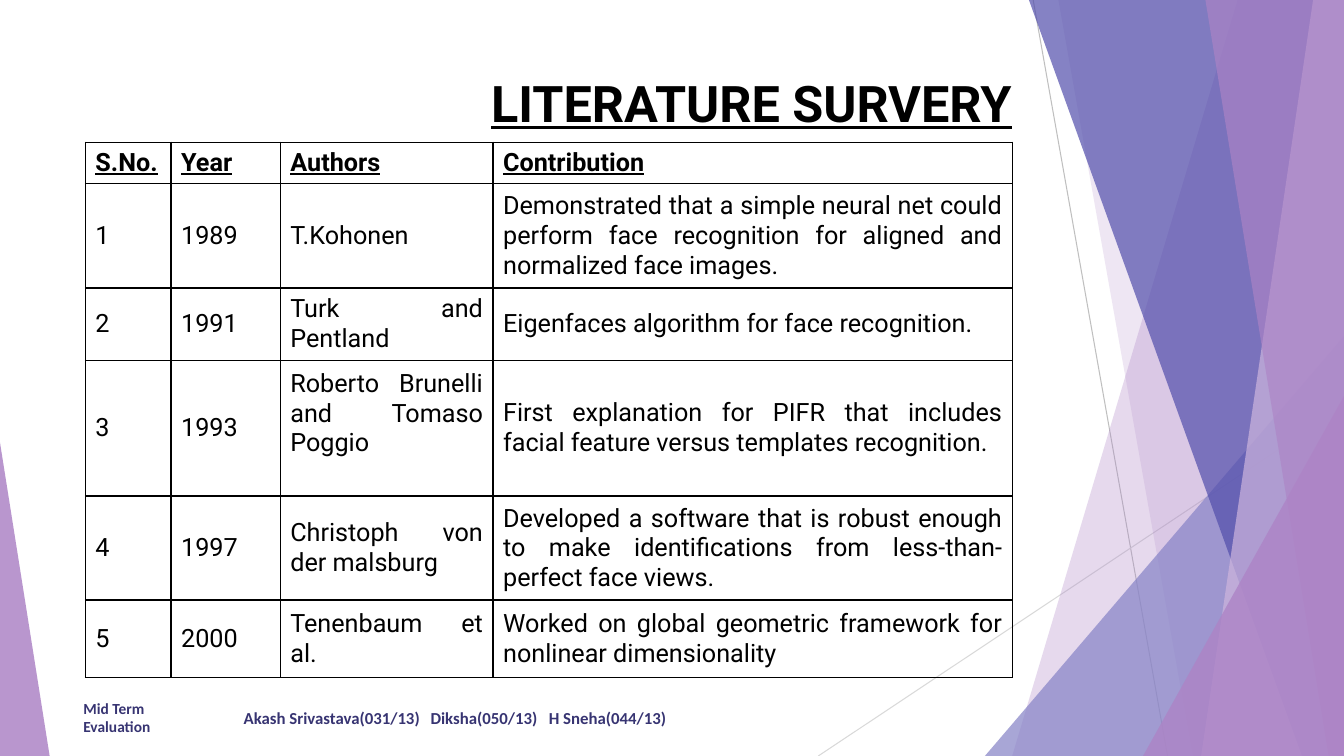
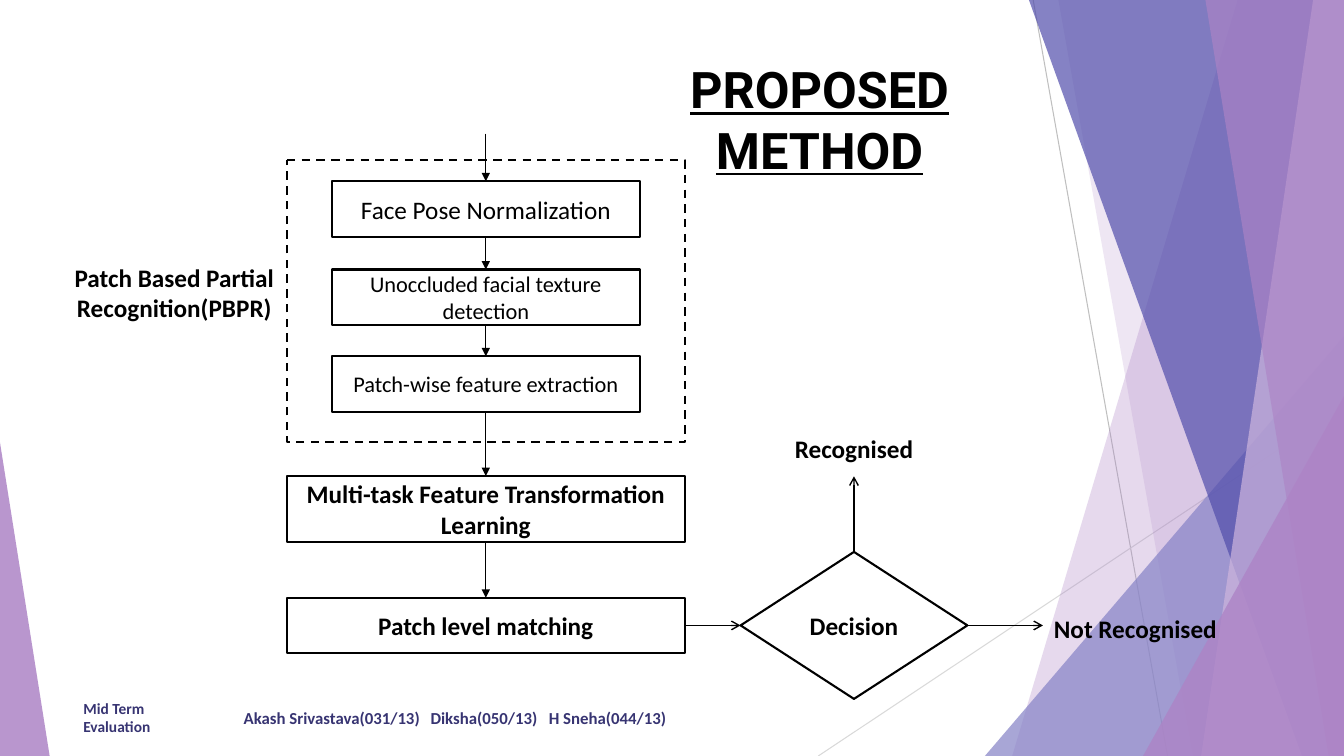
from lxml import etree
from pptx import Presentation
from pptx.dml.color import RGBColor
from pptx.enum.dml import MSO_LINE
from pptx.enum.shapes import MSO_CONNECTOR, MSO_SHAPE
from pptx.enum.text import MSO_ANCHOR, MSO_AUTO_SIZE, PP_ALIGN
from pptx.oxml.ns import qn
from pptx.util import Pt

LEFT, RIGHT = PP_ALIGN.LEFT, PP_ALIGN.RIGHT
MID, EVEN = PP_ALIGN.CENTER, PP_ALIGN.JUSTIFY
TOP, HALF = MSO_ANCHOR.TOP, MSO_ANCHOR.MIDDLE
STEP, GEM = MSO_SHAPE.FLOWCHART_PROCESS, MSO_SHAPE.DIAMOND
PEAK, LINE = MSO_SHAPE.ISOSCELES_TRIANGLE, MSO_CONNECTOR.STRAIGHT
DASH, FIXED = MSO_LINE.DASH, MSO_AUTO_SIZE.NONE

WIDE, HIGH = 960, 540
HUES = {"ink": "000000", "paper": "FFFFFF", "foot": "373472",
        "mauve": "AD84C6", "pale": "CEB5DD", "blue": "8784C7",
        "deep": "524EAB", "grey": "BFBFBF", "light": "D9D9D9"}

HEAD = {"name": "Roboto", "size": Pt(36), "bold": True, "underline": True}
CELL = {"name": "Roboto", "size": Pt(18), "bold": False, "underline": False}
TOPROW = {**CELL, "bold": True, "underline": True}
BODY = {"name": "Calibri", "size": Pt(18), "bold": False}
SMALL = {**BODY, "size": Pt(16)}
BOLD = {**BODY, "bold": True}
FOOT = {**BOLD, "size": Pt(12)}
NOTE = {**BOLD, "size": Pt(11)}

WINGS = [(884, 723, "mauve", 30), (756, 852, "mauve", 20),
         (703.5, 240, 256.5, 300, 1, "blue", 72),
         (735, 930, "deep", 70), (938, 858, "pale", 70),
         (861, 949, "mauve", 65),
         (816.5, 283, 143.5, 257, 1, "mauve", 80),
         (0, 316, 35.5, 224, 0, "mauve", 85)]

ROWS = [
    ("S.No.", "Year", "Authors", "Contribution"),
    ("1", "1989", "T.Kohonen",
     "Demonstrated that a simple neural net could perform face "
     "recognition for aligned and normalized face images."),
    ("2", "1991", "Turk and Pentland",
     "Eigenfaces algorithm for face recognition."),
    ("3", "1993", "Roberto Brunelli and Tomaso Poggio",
     "First explanation for PIFR that includes facial feature versus "
     "templates recognition."),
    ("4", "1997", "Christoph von der malsburg",
     "Developed a software that is robust enough to make identifications "
     "from less-than-perfect face views."),
    ("5", "2000", "Tenenbaum et al.",
     "Worked on global geometric framework for nonlinear dimensionality"),
]
COLS = (61.2, 78, 152, 371)
TALL = (29.8, 74.4, 51.8, 96.8, 74.4, 55.6)


def hue(key):
    return RGBColor.from_string(HUES[key])


def points(box):
    return [Pt(n) for n in box]


def write(frame, words, style, align=MID, anchor=HALF, ink="ink"):
    frame.word_wrap = True
    frame.vertical_anchor = anchor
    para = frame.paragraphs[0]
    para.alignment = align
    run = para.add_run()
    run.text = words
    for key, value in style.items():
        setattr(run.font, key, value)
    run.font.color.rgb = hue(ink)
    return para


def label(slide, box, words, style, **more):
    frame = slide.shapes.add_textbox(*points(box)).text_frame
    return write(frame, words, style, **more)


def tint(shape, key, alpha):
    shape.shadow.inherit = False
    shape.fill.solid()
    shape.fill.fore_color.rgb = hue(key)
    shape.line.fill.background()
    color = shape.fill._xPr.find(qn("a:solidFill"))[0]
    etree.SubElement(color, qn("a:alpha"), val=str(alpha * 1000))


def link(slide, start, end, key="ink", width=1, tip=None):
    line = slide.shapes.add_connector(LINE, *points(start + end))
    line.line.color.rgb = hue(key)
    line.line.width = Pt(width)
    if tip:
        etree.SubElement(line.line._get_or_add_ln(), qn("a:tailEnd"), type=tip)
    etree.SubElement(line._element.spPr, qn("a:effectLst"))


def node(slide, kind, box, words="", style=BODY, fill="paper", dash=None):
    shape = slide.shapes.add_shape(kind, *points(box))
    shape.shadow.inherit = False
    if fill:
        shape.fill.solid()
        shape.fill.fore_color.rgb = hue(fill)
    else:
        shape.fill.background()
    shape.line.color.rgb = hue("ink")
    shape.line.width = Pt(1.5)
    if dash:
        shape.line.dash_style = dash
    if words:
        write(shape.text_frame, words, style)


def wings(slide):
    link(slide, (738, 0), (834, HIGH), "grey", 0.75)
    link(slide, (WIDE, 290), (584.5, HIGH), "light", 0.75)
    for *spot, key, alpha in WINGS:
        if len(spot) == 2:
            top, base = spot
            pen = slide.shapes.build_freeform(top, 0, scale=12700.0)
            pen.add_line_segments([(WIDE, 0), (WIDE, HIGH), (base, HIGH)])
            shape = pen.convert_to_shape()
        else:
            *box, lean = spot
            shape = slide.shapes.add_shape(PEAK, *points(box))
            shape.adjustments[0] = lean
        tint(shape, key, alpha)


def foot(slide, box):
    x, y, w, h = box
    label(slide, (x, y, 72, h), "Mid Term Evaluation", NOTE,
          align=LEFT, ink="foot")
    names = "Akash Srivastava(031/13)\tDiksha(050/13)\tH Sneha(044/13)"
    para = label(slide, (x + 114.5, y, w - 114.5, h), names, FOOT,
                 align=LEFT, ink="foot")
    tabs = etree.SubElement(para._p.get_or_add_pPr(), qn("a:tabLst"))
    for stop in (133.5, 218):
        etree.SubElement(tabs, qn("a:tab"), pos=str(Pt(stop)), algn="l")


def page(deck, title, box, align):
    slide = deck.slides.add_slide(deck.slide_layouts[5])
    wings(slide)
    foot(slide, (52.5, 498, 610.5, 29))
    head = slide.shapes.title
    head.left, head.top, head.width, head.height = points(box)
    head.text_frame.auto_size = FIXED
    write(head.text_frame, title, HEAD, align, TOP)
    return slide


def edge(cell):
    props = cell._tc.get_or_add_tcPr()
    for i, side in enumerate("LRTB"):
        line = etree.Element(qn("a:ln" + side), w=str(Pt(1)))
        fill = etree.SubElement(line, qn("a:solidFill"))
        etree.SubElement(fill, qn("a:srgbClr"), val=HUES["ink"])
        props.insert(i, line)


def survey(slide, box):
    shape = slide.shapes.add_table(len(ROWS), len(COLS), *points(box))
    table = shape.table
    table.first_row = table.horz_banding = False
    for col, width in zip(table.columns, COLS):
        col.width = Pt(width)
    for r, (row, words) in enumerate(zip(table.rows, ROWS)):
        row.height = Pt(TALL[r])
        for cell, text in zip(row.cells, words):
            write(cell.text_frame, text, CELL if r else TOPROW, EVEN)
            cell.vertical_anchor = HALF
            cell.fill.background()
            edge(cell)
    table.cell(3, 2).margin_bottom = Pt(24.5)


def flow(slide, box):
    x, y, w, h = box
    mid = x + w / 2
    node(slide, STEP, box, dash=DASH)
    label(slide, (x - 178, y + 69, 195, 51),
          "Patch Based Partial Recognition(PBPR)", BOLD, anchor=TOP)
    steps = [(15, 220, 39.5, "Face Pose Normalization", BODY),
             (78, 220, 39.5, "Unoccluded facial texture detection", SMALL),
             (140, 220, 39.5, "Patch-wise feature extraction", SMALL),
             (225.5, w, 47, "Multi-task Feature Transformation Learning",
              BOLD),
             (312.5, w, 39.5, "Patch level matching", BOLD)]
    last = y - 19
    for top, wide, tall, words, style in steps:
        node(slide, STEP, (mid - wide / 2, y + top, wide, tall), words, style)
        link(slide, (mid, last), (mid, y + top), tip="triangle")
        last = y + top + tall
    row = last - 39.5 / 2
    left, wide, tall = x + 324, 162, 105
    peak, end = left + wide / 2, left + wide
    node(slide, GEM, (left, row - tall / 2, wide, tall), "Decision", BOLD,
         fill=None)
    for start, stop in (((x + w, row), (left, row)),
                        ((end, row), (end + 54, row)),
                        ((peak, row - tall / 2), (peak, row - tall / 2 - 54))):
        link(slide, start, stop, tip="arrow")
    label(slide, (peak - 76.5, y + 191.5, 153, 29), "Recognised", BOLD,
          anchor=TOP)
    label(slide, (end + 47, y + 320, 146, 29), "Not Recognised", BOLD,
          anchor=TOP)


def main():
    deck = Presentation()
    deck.slide_width, deck.slide_height = Pt(WIDE), Pt(HIGH)
    slide = page(deck, "LITERATURE SURVERY", (53, 48, 677, 71), RIGHT)
    survey(slide, (61, 101.5, 662.2, 382.8))
    slide = page(deck, "PROPOSED METHOD", (419, 38, 333, 94), MID)
    flow(slide, (205, 114.5, 284, 201.5))
    deck.save("out.pptx")


if __name__ == "__main__":
    main()
